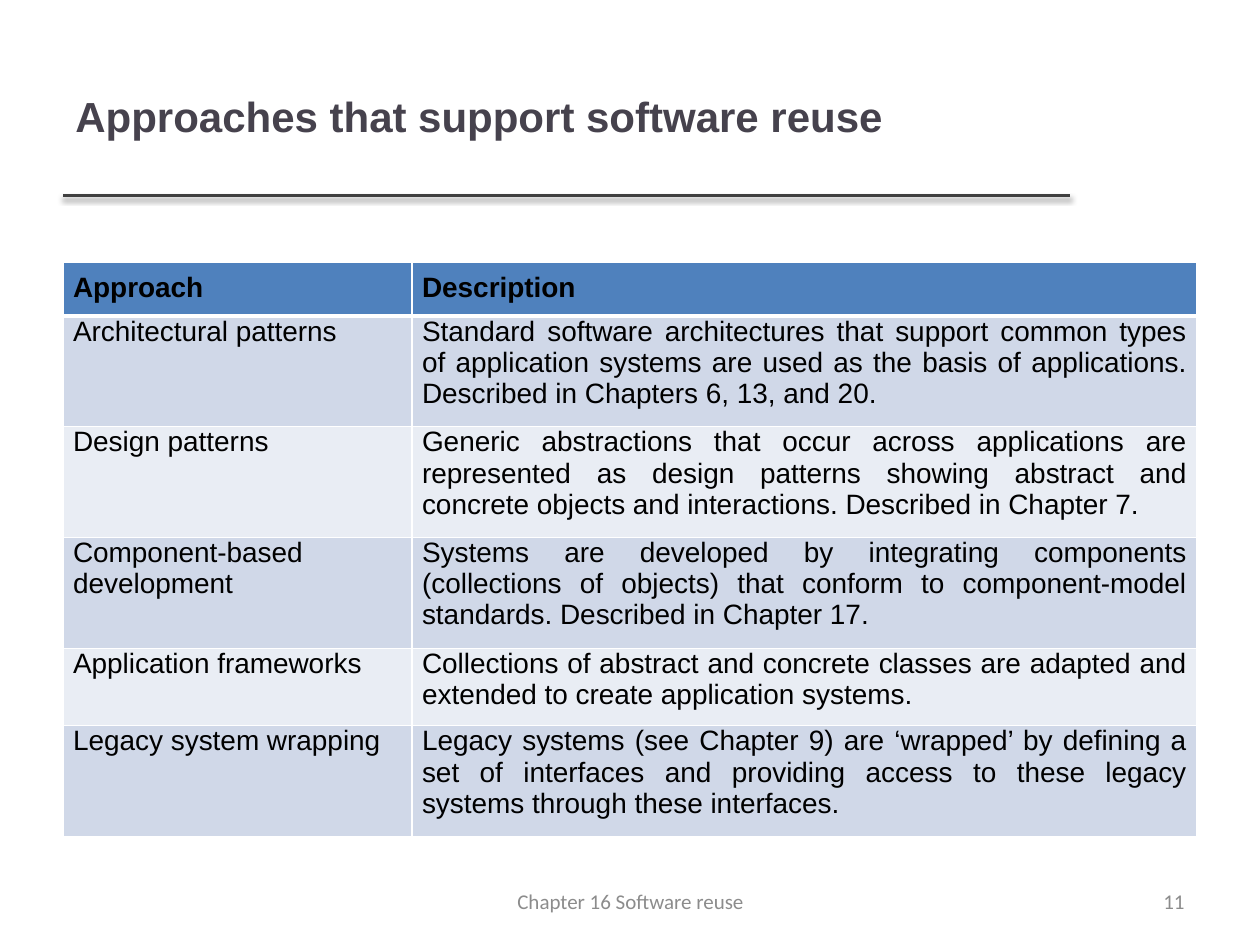
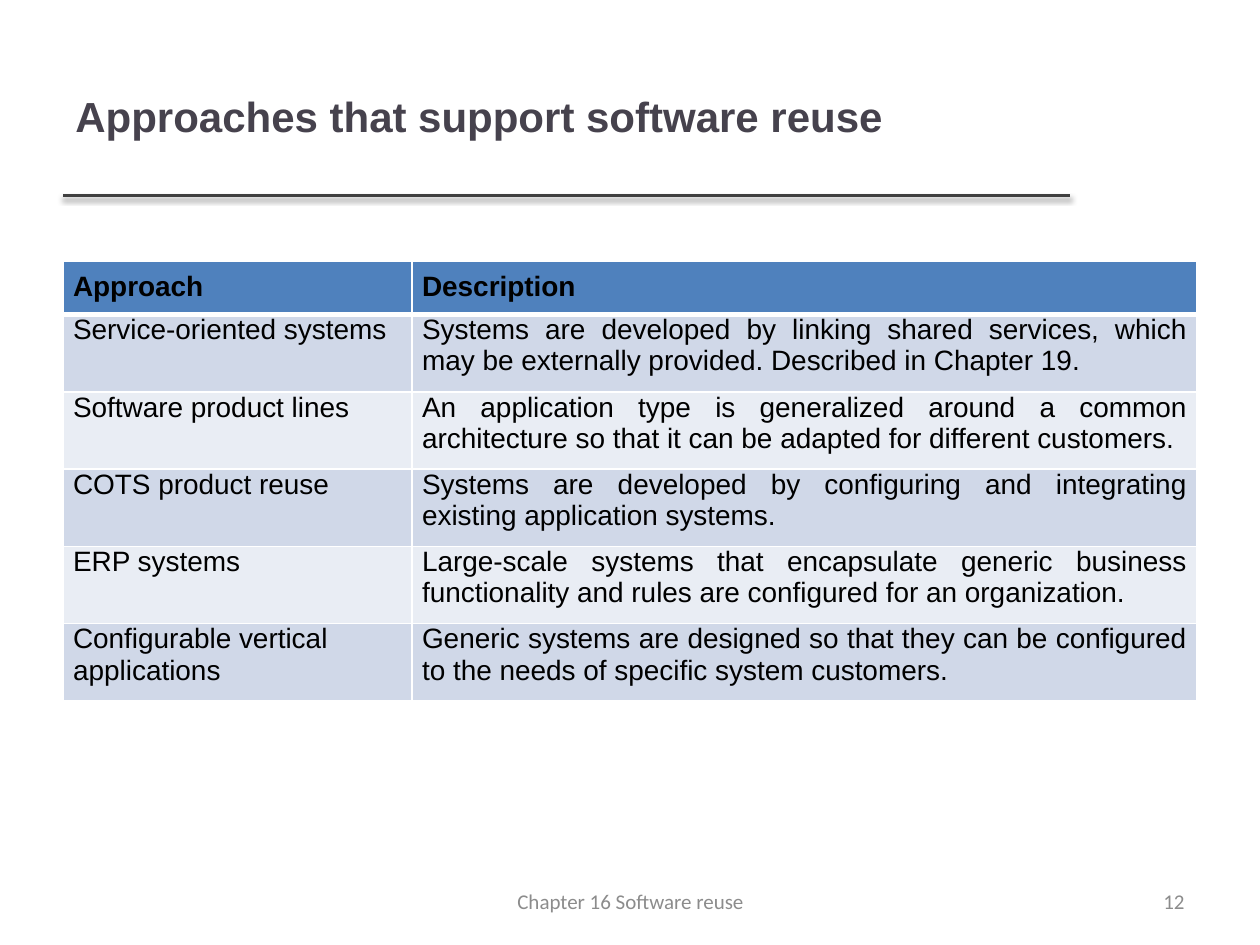
from dataclasses import dataclass

from lxml import etree
from pptx import Presentation
from pptx import util as u
from pptx.dml.color import RGBColor
from pptx.enum import shapes, text
from pptx.oxml import parse_xml
from pptx.slide import Slide
from pptx.table import _Cell

COLORS = {
    "title": "46424D",
    "rule": "404040",
    "footer": "8C8C8C",
    "body": "000000",
    "header": "4F81BD",
    "odd_row": "D0D8E8",
    "even_row": "E9EDF4",
    "border": "FFFFFF",
}
DRAWING_NS = "http://schemas.openxmlformats.org/drawingml/2006/main"
ALIGN = text.PP_ALIGN
ROW_HEIGHT = 0.41
COLUMN_WIDTHS = (2.77, 6.23)
CELL_INSET = 0.08


@dataclass(frozen=True)
class Label:
    left: float
    top: float
    width: float
    height: float
    size: int
    font: str
    color: str
    align: ALIGN
    bold: bool = False


@dataclass(frozen=True)
class Approach:
    name: str
    description: str


@dataclass(frozen=True)
class ApproachSlide:
    number: int
    table_top: float
    approaches: tuple[Approach, ...]


TITLE = Label(0.5, 0.29, 9, 1.25, 24, "Arial", "title", ALIGN.LEFT, True)
PAGE_NUMBER = Label(7.17, 6.95, 2.33, 0.4, 12, "Calibri", "footer", ALIGN.RIGHT)
CHAPTER = Label(3.42, 6.95, 3.17, 0.4, 12, "Calibri", "footer", ALIGN.CENTER)
HEADINGS = Approach("Approach", "Description")

SLIDES = (
    ApproachSlide(11, 2.08, (
        Approach("Architectural patterns",
                 "Standard software architectures that support common types of application "
                 "systems are used as the basis of applications. Described in Chapters 6, 13, and 20."),
        Approach("Design patterns",
                 "Generic abstractions that occur across applications are represented as design "
                 "patterns showing abstract and concrete objects and interactions. "
                 "Described in Chapter 7."),
        Approach("Component-based development",
                 "Systems are developed by integrating components (collections of objects) that "
                 "conform to component-model standards. Described in Chapter 17."),
        Approach("Application frameworks",
                 "Collections of abstract and concrete classes are adapted and extended to create "
                 "application systems."),
        Approach("Legacy system wrapping",
                 "Legacy systems (see Chapter 9) are ‘wrapped’ by defining a set of interfaces and "
                 "providing access to these legacy systems through these interfaces."),
    )),
    ApproachSlide(12, 2.07, (
        Approach("Service-oriented systems",
                 "Systems are developed by linking shared services, which may be externally "
                 "provided. Described in Chapter 19."),
        Approach("Software product lines",
                 "An application type is generalized around a common architecture so that it can "
                 "be adapted for different customers."),
        Approach("COTS product reuse",
                 "Systems are developed by configuring and integrating existing application systems."),
        Approach("ERP systems",
                 "Large-scale systems that encapsulate generic business functionality and rules "
                 "are configured for an organization."),
        Approach("Configurable vertical applications",
                 "Generic systems are designed so that they can be configured to the needs of "
                 "specific system customers."),
    )),
)


def rgb(name: str) -> RGBColor:
    return RGBColor.from_string(COLORS[name])


def add_label(slide: Slide, label: Label, wording: str) -> None:
    box = slide.shapes.add_textbox(*map(u.Inches, (label.left, label.top, label.width, label.height)))
    frame = box.text_frame
    frame.word_wrap = True
    frame.vertical_anchor = text.MSO_ANCHOR.MIDDLE
    frame.text = wording
    paragraph = frame.paragraphs[0]
    paragraph.alignment = label.align
    paragraph.font.size = u.Pt(label.size)
    paragraph.font.name = label.font
    paragraph.font.bold = label.bold
    paragraph.font.color.rgb = rgb(label.color)


def add_title_rule(slide: Slide) -> None:
    rule = slide.shapes.add_connector(
        shapes.MSO_CONNECTOR.STRAIGHT, *map(u.Inches, (0.5, 1.55, 8.49, 1.55)))
    rule.line.color.rgb = rgb("rule")
    rule.line.width = u.Pt(2)
    rule._element.spPr.append(parse_xml(
        f'<a:effectLst xmlns:a="{DRAWING_NS}">'
        '<a:outerShdw blurRad="40000" dist="20000" dir="5400000" rotWithShape="0">'
        '<a:srgbClr val="000000"><a:alpha val="38000"/></a:srgbClr>'
        '</a:outerShdw></a:effectLst>'))


def set_borders(cell: _Cell, top: int, bottom: int) -> None:
    properties = cell._tc.get_or_add_tcPr()
    for side, points in (("L", 1), ("R", 1), ("T", top), ("B", bottom)):
        border = etree.SubElement(properties, f"{{{DRAWING_NS}}}ln{side}", w=str(u.Pt(points)))
        fill = etree.SubElement(border, f"{{{DRAWING_NS}}}solidFill")
        etree.SubElement(fill, f"{{{DRAWING_NS}}}srgbClr", val=COLORS["border"])


def fill_cell(cell: _Cell, wording: str, row: int, column: int) -> None:
    is_header = row == 0
    set_borders(cell, top=3 if row == 1 else 1, bottom=3 if is_header else 1)
    cell.fill.solid()
    cell.fill.fore_color.rgb = rgb("header" if is_header else "odd_row" if row % 2 else "even_row")
    cell.margin_left = cell.margin_right = cell.margin_bottom = u.Inches(CELL_INSET)
    cell.margin_top = u.Inches(CELL_INSET if is_header else 0)
    cell.text = wording
    paragraph = cell.text_frame.paragraphs[0]
    paragraph.alignment = ALIGN.JUSTIFY if is_header or column == 1 else ALIGN.LEFT
    paragraph.font.size = u.Pt(16)
    paragraph.font.name = "Arial"
    paragraph.font.bold = is_header
    paragraph.font.color.rgb = rgb("body")


def add_approach_table(slide: Slide, content: ApproachSlide) -> None:
    rows = (HEADINGS, *content.approaches)
    table = slide.shapes.add_table(
        len(rows), len(COLUMN_WIDTHS), u.Inches(0.5), u.Inches(content.table_top),
        u.Inches(sum(COLUMN_WIDTHS)), u.Inches(ROW_HEIGHT * len(rows))).table
    for column, width in zip(table.columns, COLUMN_WIDTHS):
        column.width = u.Inches(width)
    for row, approach in enumerate(rows):
        for column, wording in enumerate((approach.name, approach.description)):
            fill_cell(table.cell(row, column), wording, row, column)


def main() -> None:
    deck = Presentation()
    deck.slide_width, deck.slide_height = u.Inches(10), u.Inches(7.5)
    for content in SLIDES:
        slide = deck.slides.add_slide(deck.slide_layouts[6])
        add_title_rule(slide)
        add_label(slide, TITLE, "Approaches that support software reuse")
        add_approach_table(slide, content)
        add_label(slide, PAGE_NUMBER, str(content.number))
        add_label(slide, CHAPTER, "Chapter 16 Software reuse")
    deck.save("out.pptx")


if __name__ == "__main__":
    main()
